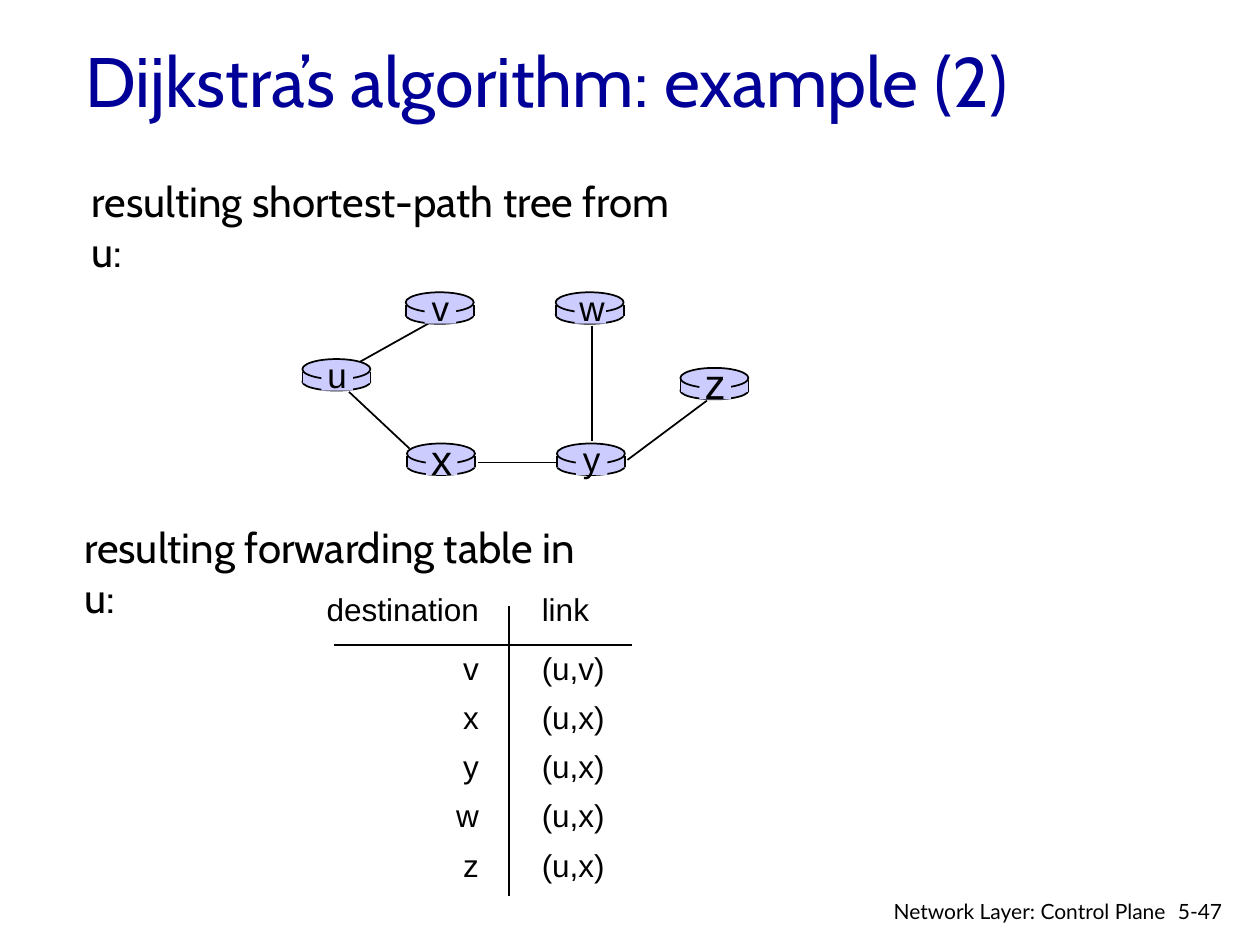
from lxml.etree import SubElement
from pptx import Presentation
from pptx.dml.color import RGBColor
from pptx.enum.shapes import MSO_CONNECTOR, MSO_SHAPE
from pptx.enum.text import MSO_ANCHOR as Anchor, PP_ALIGN as Align
from pptx.oxml.ns import qn
from pptx.util import Emu, Inches, Pt

NAVY = RGBColor(0x00, 0x00, 0x99)
BLACK = RGBColor(0x00, 0x00, 0x00)
LAVENDER = RGBColor(0xCC, 0xCC, 0xFF)

deck = Presentation()
deck.slide_width, deck.slide_height = Inches(10), Inches(7.5)
slide = deck.slides.add_slide(deck.slide_layouts[6])
shapes = slide.shapes

# Grid of 100 columns by 75 rows
COL = deck.slide_width / 100
ROW = deck.slide_height / 75


def write(x, y, w, h, text, font, size, color=BLACK, align=Align.LEFT, anchor=Anchor.TOP):
    """Add a text box placed in grid columns and rows."""
    frame = shapes.add_textbox(Emu(x * COL), Emu(y * ROW), Emu(w * COL), Emu(h * ROW)).text_frame
    frame.word_wrap = True
    frame.vertical_anchor = anchor
    line = frame.paragraphs[0]
    line.alignment = align
    run = line.add_run()
    run.text = text
    run.font.name, run.font.size = font, Pt(size)
    run.font.color.rgb = color


def draw_line(x1, y1, x2, y2, width=1):
    line = shapes.add_connector(MSO_CONNECTOR.STRAIGHT, Emu(x1 * COL), Emu(y1 * ROW),
                                Emu(x2 * COL), Emu(y2 * ROW))
    line.line.color.rgb = BLACK
    line.line.width = Pt(width)
    SubElement(line._element.spPr, qn("a:effectLst"))


write(5.8, 1.7, 85, 9.3, "Dijkstra’s algorithm: example (2)", "Cabin", 40, NAVY,
      anchor=Anchor.MIDDLE)
write(6.3, 13.4, 50, 5, "resulting shortest-path tree from u:", "Cabin", 24)

# Shortest-path tree: links first, routers over them
links = [
    (28.6, 28.7, 34.5, 25.4),  # u-v
    (27.7, 31.1, 32.5, 35.6),  # u-x
    (37.9, 36.7, 44.3, 36.7),  # x-y
    (47, 25.9, 47, 35),        # y-w
    (49.8, 36.5, 56.1, 31.8),  # y-z
]
for link in links:
    draw_line(*link)

ROUTER_W = 5.4
routers = [  # name, left, top, letter size
    ("u", 24, 28.5, 20),
    ("x", 32.3, 35.2, 24),
    ("v", 32.2, 23.2, 20),
    ("w", 44.1, 23.2, 20),
    ("y", 44.2, 35.2, 20),
    ("z", 54, 29.2, 24),
]
router_parts = [  # preset, offset, size, outlined
    (MSO_SHAPE.OVAL, 0, 1.1, ROUTER_W, 1.4, True),
    (MSO_SHAPE.RECTANGLE, 0, 1, ROUTER_W, 0.9, False),
    (MSO_SHAPE.OVAL, 0, 0, ROUTER_W, 1.6, True),
    (MSO_SHAPE.RECTANGLE, 1.5, 0.2, 2.5, 2.3, False),
]
for name, left, top, size in routers:
    for preset, dx, dy, w, h, outlined in router_parts:
        part = shapes.add_shape(preset, Emu((left + dx) * COL), Emu((top + dy) * ROW),
                                Emu(w * COL), Emu(h * ROW))
        part.shadow.inherit = False
        part.fill.solid()
        part.fill.fore_color.rgb = LAVENDER
        if outlined:
            part.line.color.rgb = BLACK
            part.line.width = Pt(1)
        else:
            part.line.fill.background()
    for side in (left, left + ROUTER_W):
        draw_line(side, top + 1, side, top + 1.9)
    label_h = 4.3 if size == 20 else 5
    write(left + 0.9, top + 1.2 - label_h / 2, 3.7, label_h, name, "Arial", size,
          align=Align.CENTER)

# Forwarding table
write(5.7, 40.9, 43.2, 5, "resulting forwarding table in u:", "Cabin", 24)

entries = [
    ("destination", "link"),
    ("v", "(u,v)"),
    ("x", "(u,x)"),
    ("y", "(u,x)"),
    ("w", "(u,x)"),
    ("z", "(u,x)"),
]
TABLE_X, RULE_X, TABLE_END = 24.8, 40.4, 50.2
TABLE_Y, RULE_Y, ENTRY_H = 45.7, 51.2, 3.9
table = shapes.add_table(
    len(entries), 2, Emu(TABLE_X * COL), Emu(TABLE_Y * ROW), Emu((TABLE_END - TABLE_X) * COL),
    Emu((RULE_Y - TABLE_Y + ENTRY_H * (len(entries) - 1)) * ROW)).table
table.first_row = table.horz_banding = False
table.columns[0].width = Emu((RULE_X - TABLE_X) * COL)
table.columns[1].width = Emu((TABLE_END - RULE_X) * COL)
for r, entry in enumerate(entries):
    table.rows[r].height = Emu((ENTRY_H if r else RULE_Y - TABLE_Y) * ROW)
    for c, text in enumerate(entry):
        cell = table.cell(r, c)
        cell.fill.background()
        cell.vertical_anchor = Anchor.MIDDLE
        cell.margin_top = cell.margin_bottom = 0
        cell.margin_left = Emu(2.6 * COL) if c else 0
        cell.margin_right = 0 if c else Emu(2.4 * COL)
        line = cell.text_frame.paragraphs[0]
        line.alignment = Align.LEFT if c else Align.RIGHT
        run = line.add_run()
        run.text = text
        run.font.name, run.font.size = "Arial", Pt(18)
        run.font.color.rgb = BLACK
draw_line(RULE_X, 48.1, RULE_X, 71.1, 0.75)
draw_line(26.5, RULE_Y, TABLE_END, RULE_Y, 0.75)

# Footer
write(92.5, 70.8, 6, 3, "5-47", "Lato", 12)
write(69.7, 70.8, 23.8, 2.6, "Network Layer: Control Plane", "Lato", 12, align=Align.RIGHT)

deck.save("out.pptx")
